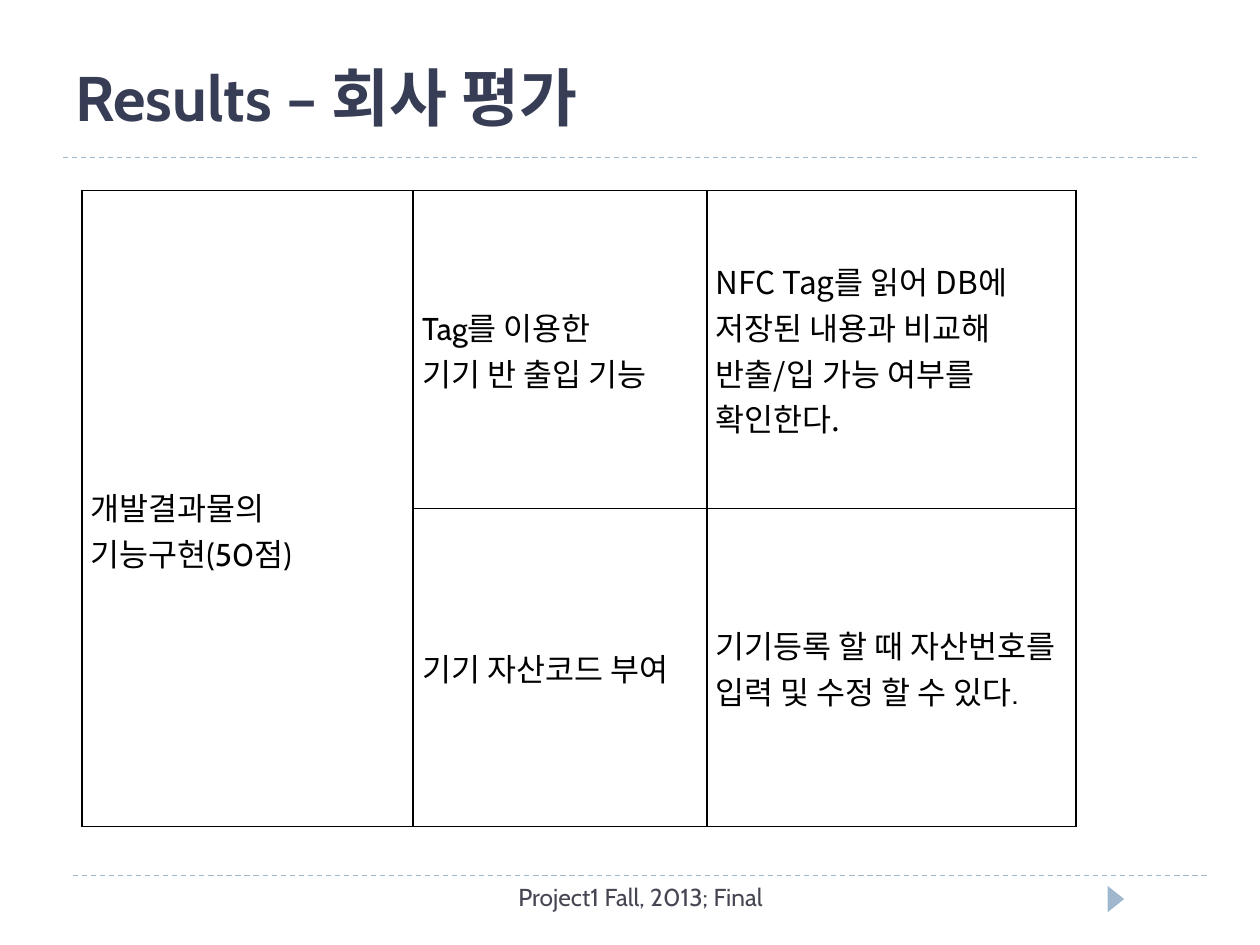
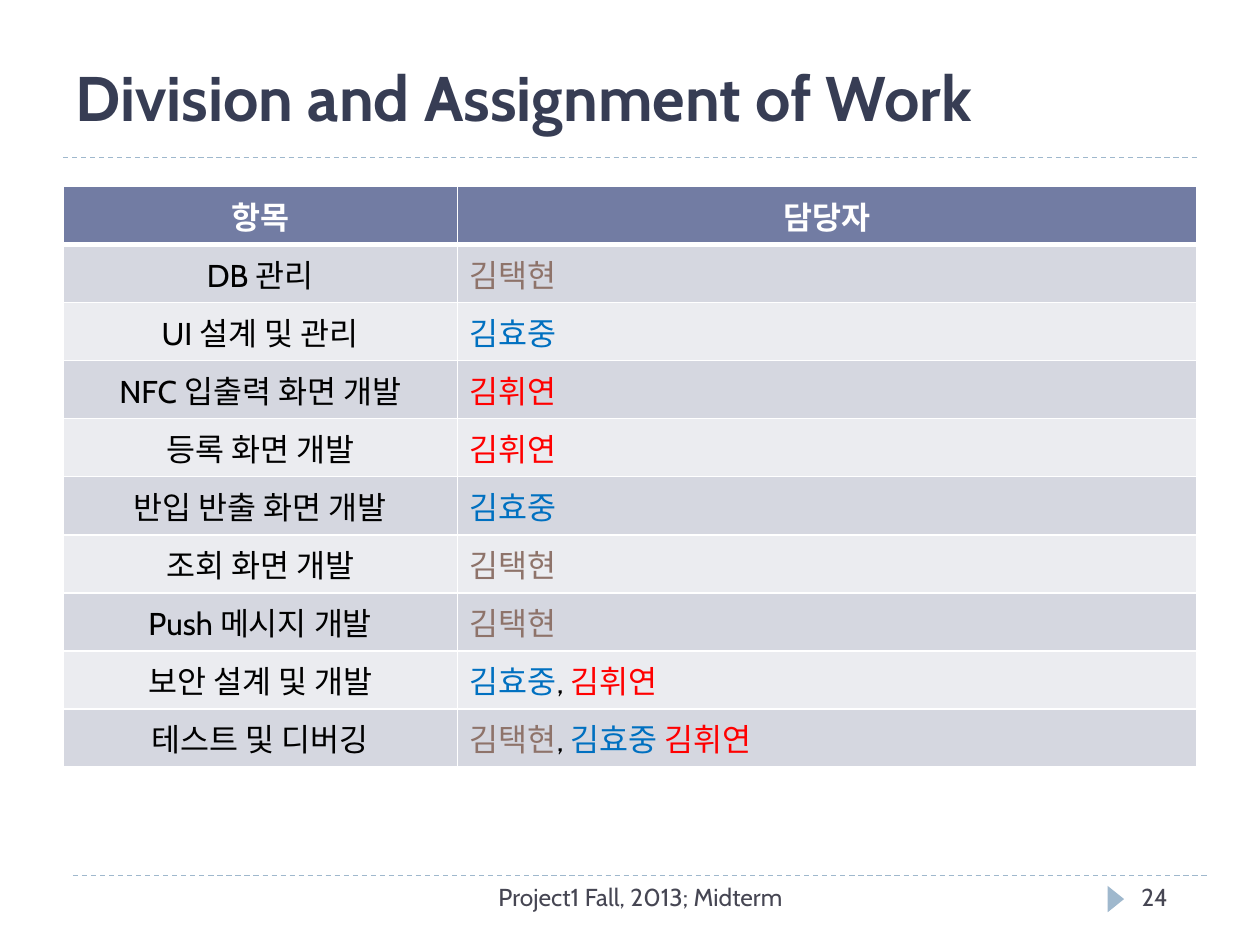
import pptx
import pptx.dml.color
import pptx.enum.shapes
import pptx.enum.text
import pptx.oxml
import pptx.oxml.ns
import pptx.util

Cm = pptx.util.Cm
Pt = pptx.util.Pt
ALIGN = pptx.enum.text.PP_ALIGN
ANCHOR = pptx.enum.text.MSO_ANCHOR
SHAPES = pptx.enum.shapes.MSO_SHAPE

COLORS = {
    "title": "373D54", "footer": "464653", "accent": "9FB8CD",
    "header": "727CA3", "odd": "D5D7E0", "even": "EBECF0",
    "white": "FFFFFF", "black": "000000",
    "김택현": "8E736A", "김효중": "0070C0", "김휘연": "FF0000",
}
LATIN, HANGUL = "Cabin", "Noto Sans CJK KR"


def rgb(name):
    return pptx.dml.color.RGBColor.from_string(COLORS[name])


def add_xml(parent, tag, content="", **attributes):
    """Append one DrawingML element with the given inner XML."""
    listed = " ".join(f'{key}="{value}"' for key, value in attributes.items())
    parent.append(pptx.oxml.parse_xml(
        f'<a:{tag} {pptx.oxml.ns.nsdecls("a")} {listed}>{content}</a:{tag}>'))


class Deck:
    def __init__(self):
        self.prs = pptx.Presentation()
        self.prs.slide_width, self.prs.slide_height = Cm(25.4), Cm(19.05)
        self.slide = None

    def start(self, title, footer, number=None):
        """Add a slide with the shared title, rules, marker and footer."""
        self.slide = self.prs.slides.add_slide(self.prs.slide_layouts[6])
        self.rule(1.47, 17.65)
        self.rule(1.27, 3.18)
        self.marker()
        self.text((1.27, 1.02, 22.86, 1.8), title, 36, "title", bold=True,
                  anchor=ANCHOR.BOTTOM)
        self.text((8.05, 17.65, 9.73, 1.02), footer, 14, "footer", align=ALIGN.CENTER)
        if number:
            self.text((22.76, 17.65, 1.9, 1.02), number, 14, "footer")

    def rule(self, left, top):
        line = self.slide.shapes.add_connector(
            pptx.enum.shapes.MSO_CONNECTOR.STRAIGHT,
            Cm(left), Cm(top), Cm(left + 22.86), Cm(top))
        line.line.color.rgb = rgb("accent")
        line.line.width = Pt(0.75)
        line.line.dash_style = pptx.enum.dml.MSO_LINE.DASH
        add_xml(line._element.spPr, "effectLst")

    def marker(self):
        triangle = self.slide.shapes.add_shape(
            SHAPES.ISOSCELES_TRIANGLE, Cm(22.23), Cm(17.96), Cm(0.53), Cm(0.33))
        triangle.rotation = 90
        triangle.shadow.inherit = False
        triangle.fill.solid()
        triangle.fill.fore_color.rgb = rgb("accent")
        triangle.line.fill.background()

    def text(self, box, content, size, color, bold=False, align=ALIGN.LEFT,
             anchor=ANCHOR.TOP):
        frame = self.slide.shapes.add_textbox(*map(Cm, box)).text_frame
        frame.word_wrap = True
        frame.vertical_anchor = anchor
        frame.paragraphs[0].alignment = align
        self.run(frame.paragraphs[0], content, size, color, bold)

    def run(self, paragraph, content, size=18, color="black", bold=False, font=LATIN):
        run = paragraph.add_run()
        run.text = content
        run.font.size, run.font.bold, run.font.name = Pt(size), bold, font
        run.font.color.rgb = rgb(color)
        add_xml(run.font._element, "ea", typeface=HANGUL)

    def table(self, left, top, widths, heights):
        table = self.slide.shapes.add_table(
            len(heights), len(widths), Cm(left), Cm(top),
            Cm(sum(widths)), Cm(sum(heights))).table
        table.first_row = table.horz_banding = False
        for column, width in zip(table.columns, widths):
            column.width = Cm(width)
        for row, height in zip(table.rows, heights):
            row.height = Cm(height)
        return table

    def cell(self, cell, fill, border, top=1, bottom=1):
        """Set the fill and the four borders, with widths in points."""
        properties = cell._tc.get_or_add_tcPr()
        for side, width in zip("LRTB", (1, 1, top, bottom)):
            add_xml(properties, f"ln{side}",
                    f'<a:solidFill><a:srgbClr val="{COLORS[border]}"/></a:solidFill>',
                    w=Pt(width))
        cell.fill.solid()
        cell.fill.fore_color.rgb = rgb(fill)


def evaluation(deck):
    deck.start("Results – 회사 평가", "Project1 Fall, 2013; Final")
    table = deck.table(1.65, 3.84, (6.68, 5.92, 7.44), (6.41, 6.41))
    for cell in table.iter_cells():
        deck.cell(cell, "white", "black")
        cell.vertical_anchor = ANCHOR.MIDDLE
        cell.margin_left = cell.margin_right = Cm(0.18)
        cell.margin_top = cell.margin_bottom = 0
    table.cell(0, 0).merge(table.cell(1, 0))
    table.cell(0, 0).margin_top = Cm(0.85)

    criteria = (
        (0, 0, LATIN, ("개발결과물의", "기능구현(50점)")),
        (0, 1, LATIN, ("Tag를 이용한", "기기 반 출입 기능")),
        (0, 2, HANGUL, ("NFC Tag를 읽어 DB에 저장된 내용과 비교해 "
                        "반출/입 가능 여부를 확인한다.",)),
        (1, 1, LATIN, ("기기 자산코드 부여",)),
        (1, 2, LATIN, ("기기등록 할 때 자산번호를 입력 및 수정 할 수 있다.",)),
    )
    for row, column, font, lines in criteria:
        frame = table.cell(row, column).text_frame
        for index, line in enumerate(lines):
            paragraph = frame.add_paragraph() if index else frame.paragraphs[0]
            deck.run(paragraph, line, font=font)


def assignment(deck):
    deck.start("Division and Assignment of Work", "Project1 Fall, 2013; Midterm", "24")
    tasks = (
        ("DB 관리", ("김택현",)),
        ("UI 설계 및 관리", ("김효중",)),
        ("NFC 입출력 화면 개발", ("김휘연",)),
        ("등록 화면 개발", ("김휘연",)),
        ("반입 반출 화면 개발", ("김효중",)),
        ("조회 화면 개발", ("김택현",)),
        ("Push 메시지 개발", ("김택현",)),
        ("보안 설계 및 개발", ("김효중", ", ", "김휘연")),
        ("테스트 및 디버깅", ("김택현", ", ", "김효중 ", "김휘연")),
    )
    table = deck.table(1.27, 3.76, (7.95, 14.91), [1.17] * (len(tasks) + 1))
    for column, heading in enumerate(("항목", "담당자")):
        cell = table.cell(0, column)
        deck.cell(cell, "header", "white", bottom=3)
        cell.vertical_anchor = ANCHOR.MIDDLE
        paragraph = cell.text_frame.paragraphs[0]
        paragraph.alignment = ALIGN.CENTER
        deck.run(paragraph, heading, color="white", bold=True)

    for row, (task, owners) in enumerate(tasks, 1):
        task_cell, owner_cell = table.cell(row, 0), table.cell(row, 1)
        for cell in (task_cell, owner_cell):
            deck.cell(cell, "odd" if row % 2 else "even", "white",
                      top=3 if row == 1 else 1)
        task_cell.text_frame.paragraphs[0].alignment = ALIGN.CENTER
        deck.run(task_cell.text_frame.paragraphs[0], task)
        for part in owners:
            color = part.strip() if part.strip() in COLORS else "black"
            deck.run(owner_cell.text_frame.paragraphs[0], part, color=color)


def main():
    deck = Deck()
    evaluation(deck)
    assignment(deck)
    deck.prs.save("out.pptx")


if __name__ == "__main__":
    main()
